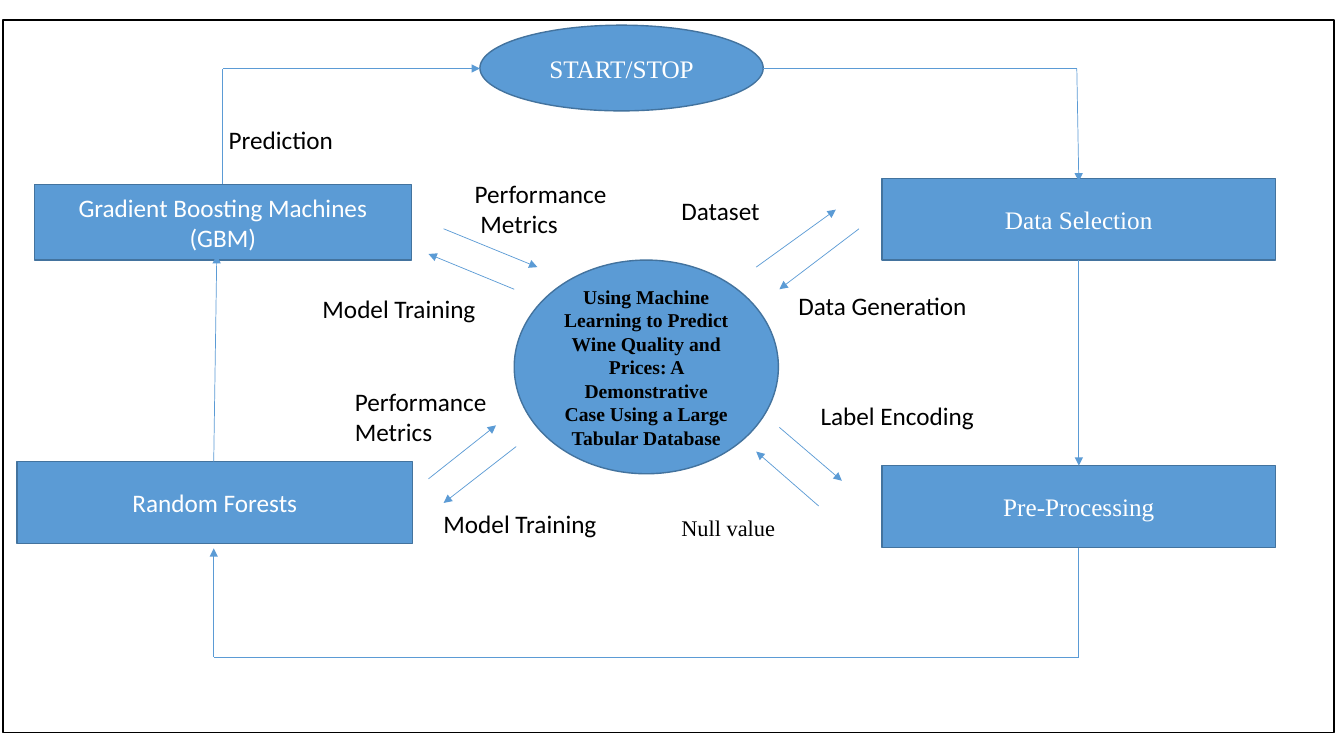
from dataclasses import dataclass
from itertools import pairwise

from lxml import etree
from pptx import Presentation
from pptx.dml.color import RGBColor
from pptx.enum import shapes, text
from pptx.oxml import ns
from pptx.util import Inches, Pt

SERIF = "Times New Roman"
SANS = "Calibri"
BLUE = "5B9BD5"
DARK_BLUE = "43739E"
BLACK = "000000"
WHITE = "FFFFFF"
OVAL = shapes.MSO_SHAPE.OVAL
RECTANGLE = shapes.MSO_SHAPE.RECTANGLE
Point = tuple[float, float]


@dataclass(frozen=True)
class Stage:
    caption: str
    left: float
    top: float
    width: float
    height: float
    font: str = SERIF
    size: int = 18
    color: str = WHITE
    bold: bool = False
    outline: shapes.MSO_SHAPE = RECTANGLE


@dataclass(frozen=True)
class Label:
    caption: str
    left: float
    top: float
    width: float
    height: float = 0.4
    font: str = SANS
    size: int = 18
    wrap: bool = False


STAGES = [
    Stage("Using Machine Learning to Predict Wine Quality and Prices: "
          "A Demonstrative Case Using a Large Tabular Database",
          5.1, 2.58, 2.62, 2.12, size=14, color=BLACK, bold=True, outline=OVAL),
    Stage("START/STOP", 4.76, 0.25, 2.81, 0.85, outline=OVAL),
    Stage("Data Selection", 8.75, 1.77, 3.9, 0.81),
    Stage("Pre-Processing", 8.75, 4.62, 3.9, 0.81),
    Stage("Random Forests", 0.17, 4.58, 3.92, 0.81, font=SANS),
    Stage("Gradient Boosting Machines (GBM)", 0.34, 1.83, 3.74, 0.75, font=SANS),
]

LABELS = [
    Label("Prediction", 2.17, 1.18, 1.31),
    Label("Performance\n Metrics", 4.61, 1.72, 1.52, 1.01),
    Label("Model Training", 3.1, 2.86, 1.74),
    Label("Performance\nMetrics", 3.42, 3.78, 1.58, 1.01),
    Label("Model Training", 4.3, 4.99, 1.74),
    Label("Dataset", 6.66, 1.89, 1.65, wrap=True),
    Label("Data Generation", 7.82, 2.83, 1.89),
    Label("Label Encoding", 8.04, 3.92, 1.74),
    Label("Null value", 6.66, 5.05, 2.94, 0.37, SERIF, 16, wrap=True),
]

OUTER_CYCLE: list[list[Point]] = [
    [(7.57, 0.68), (10.68, 0.68), (10.7, 1.8)],
    [(10.7, 2.58), (10.7, 4.62)],
    [(10.7, 5.44), (10.7, 6.52), (2.12, 6.52), (2.12, 5.44)],
    [(2.12, 4.58), (2.15, 2.53)],
    [(2.21, 1.83), (2.21, 0.68), (4.76, 0.68)],
]

CENTRE_EXCHANGES: list[list[Point]] = [
    [(4.4, 2.27), (5.33, 2.65)],
    [(5.1, 2.87), (4.25, 2.52)],
    [(4.25, 4.75), (4.92, 4.22)],
    [(5.12, 4.43), (4.4, 4.99)],
    [(7.5, 2.65), (8.29, 2.08)],
    [(8.52, 2.27), (7.73, 2.87)],
    [(7.73, 4.24), (8.35, 4.77)],
    [(8.12, 5.02), (7.5, 4.48)],
]


def rgb(code: str) -> RGBColor:
    return RGBColor.from_string(code)


def write(frame, caption: str, *, font: str, size: int, color: str = BLACK,
          bold: bool = False, wrap: bool = True,
          align=text.PP_ALIGN.LEFT, anchor=text.MSO_ANCHOR.TOP) -> None:
    frame.text = caption
    frame.word_wrap = wrap
    frame.vertical_anchor = anchor
    for paragraph in frame.paragraphs:
        paragraph.alignment = align
        paragraph.font.name = font
        paragraph.font.size = Pt(size)
        paragraph.font.bold = bold
        paragraph.font.color.rgb = rgb(color)


def add_outline(slide, kind: shapes.MSO_SHAPE, box: tuple[float, ...],
                line: str, fill: str | None = None):
    shape = slide.shapes.add_shape(kind, *map(Inches, box))
    shape.shadow.inherit = False
    if fill:
        shape.fill.solid()
        shape.fill.fore_color.rgb = rgb(fill)
    else:
        shape.fill.background()
    shape.line.color.rgb = rgb(line)
    shape.line.width = Pt(1)
    return shape


def add_stage(slide, stage: Stage) -> None:
    box = (stage.left, stage.top, stage.width, stage.height)
    shape = add_outline(slide, stage.outline, box, DARK_BLUE, BLUE)
    write(shape.text_frame, stage.caption, font=stage.font, size=stage.size,
          color=stage.color, bold=stage.bold,
          align=text.PP_ALIGN.CENTER, anchor=text.MSO_ANCHOR.MIDDLE)


def add_label(slide, label: Label) -> None:
    box = (label.left, label.top, label.width, label.height)
    textbox = slide.shapes.add_textbox(*map(Inches, box))
    write(textbox.text_frame, label.caption, font=label.font, size=label.size,
          wrap=label.wrap)


def add_route(slide, route: list[Point]) -> None:
    for start, end in pairwise(route):
        segment = slide.shapes.add_connector(
            shapes.MSO_CONNECTOR.STRAIGHT, *map(Inches, start + end))
        segment.line.color.rgb = rgb(BLUE)
        segment.line.width = Pt(0.5)
        properties = segment._element.spPr
        etree.SubElement(properties, ns.qn("a:effectLst"))
        if end == route[-1]:
            etree.SubElement(properties.find(ns.qn("a:ln")),
                             ns.qn("a:tailEnd"), type="triangle")


def main() -> None:
    deck = Presentation()
    deck.slide_width = Inches(13.33)
    deck.slide_height = Inches(7.5)
    slide = deck.slides.add_slide(deck.slide_layouts[6])
    add_outline(slide, RECTANGLE, (0.03, 0.2, 13.2, 7.07), BLACK)
    for stage in STAGES:
        add_stage(slide, stage)
    for route in OUTER_CYCLE + CENTRE_EXCHANGES:
        add_route(slide, route)
    for label in LABELS:
        add_label(slide, label)
    deck.save("out.pptx")


if __name__ == "__main__":
    main()
